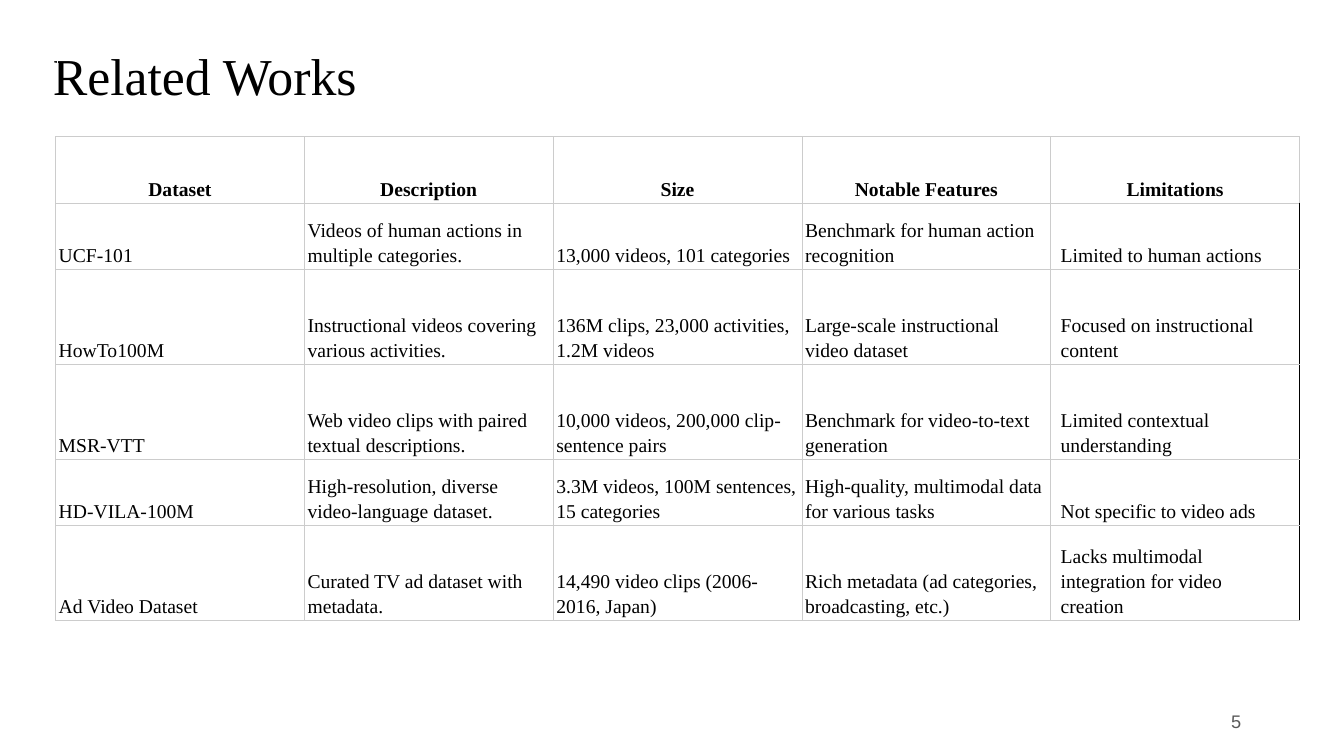
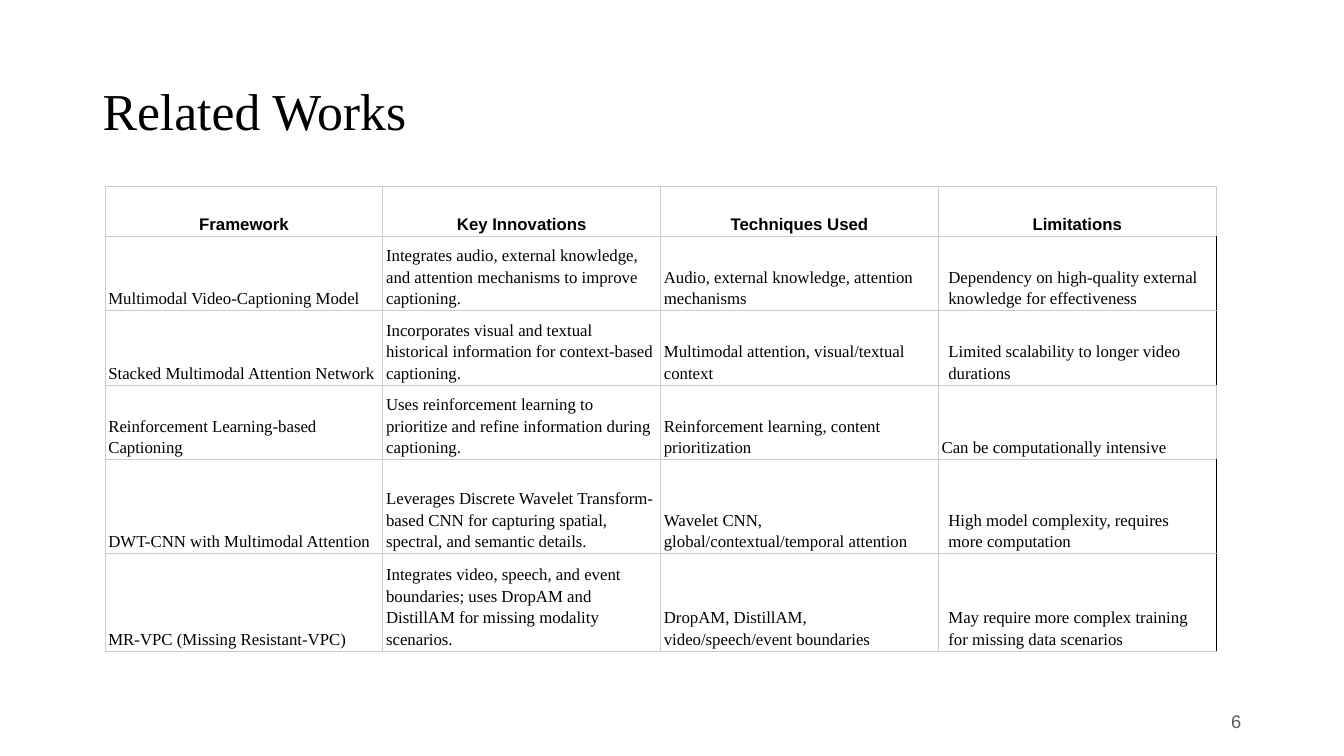
"""Build two related-work slides, each with a title, a comparison table and a page number."""
from dataclasses import dataclass

from lxml.etree import SubElement
from pptx import Presentation
from pptx.dml.color import RGBColor
from pptx.enum.text import MSO_ANCHOR, MSO_AUTO_SIZE, PP_ALIGN
from pptx.oxml.ns import qn
from pptx.util import Cm, Pt


@dataclass(frozen=True)
class Theme:
    ink: str = "000000"
    grid: str = "CCCCCC"
    muted: str = "595959"
    serif: str = "Times New Roman"
    sans: str = "Arial"
    title_size: int = 37
    number_size: int = 13
    grid_width: float = 0.75


THEME = Theme()
TITLE_SIZE = (29.21, 3.68)
NUMBER_BOX = (23.91, 17.67, 7.62, 1.02)
CORNER_CELL = (0.84, 0.84, 0.05, 0.05)
TIGHT, WIDE, VERTICAL = 0.08, 0.25, 0.06

DATASETS = [
    ["Dataset", "Description", "Size", "Notable Features", "Limitations"],
    ["UCF-101", "Videos of human actions in multiple categories.",
     "13,000 videos, 101 categories", "Benchmark for human action recognition",
     "Limited to human actions"],
    ["HowTo100M", "Instructional videos covering various activities.",
     "136M clips, 23,000 activities, 1.2M videos", "Large-scale instructional video dataset",
     "Focused on instructional content"],
    ["MSR-VTT", "Web video clips with paired textual descriptions.",
     "10,000 videos, 200,000 clip-sentence pairs", "Benchmark for video-to-text generation",
     "Limited contextual understanding"],
    ["HD-VILA-100M", "High-resolution, diverse video-language dataset.",
     "3.3M videos, 100M sentences, 15 categories",
     "High-quality, multimodal data for various tasks", "Not specific to video ads"],
    ["Ad Video Dataset", "Curated TV ad dataset with metadata.",
     "14,490 video clips (2006-2016, Japan)",
     "Rich metadata (ad categories, broadcasting, etc.)",
     "Lacks multimodal integration for video creation"],
]
FRAMEWORKS = [
    ["Framework", "Key Innovations", "Techniques Used", "Limitations"],
    ["Multimodal Video-Captioning Model",
     "Integrates audio, external knowledge, and attention mechanisms to improve captioning.",
     "Audio, external knowledge, attention mechanisms",
     "Dependency on high-quality external knowledge for effectiveness"],
    ["Stacked Multimodal Attention Network",
     "Incorporates visual and textual historical information for context-based captioning.",
     "Multimodal attention, visual/textual context",
     "Limited scalability to longer video durations"],
    ["Reinforcement Learning-based Captioning",
     "Uses reinforcement learning to prioritize and refine information during captioning.",
     "Reinforcement learning, content prioritization", "Can be computationally intensive"],
    ["DWT-CNN with Multimodal Attention",
     "Leverages Discrete Wavelet Transform-based CNN for capturing spatial, spectral, "
     "and semantic details.",
     "Wavelet CNN, global/contextual/temporal attention",
     "High model complexity, requires more computation"],
    ["MR-VPC (Missing Resistant-VPC)",
     "Integrates video, speech, and event boundaries; uses DropAM and DistillAM "
     "for missing modality scenarios.",
     "DropAM, DistillAM, video/speech/event boundaries",
     "May require more complex training for missing data scenarios"],
]


def apply(target, formats):
    for attribute, value in formats.items():
        setattr(target, attribute, value)


def write(frame, text, size, font, color=THEME.ink, bold=False,
          align=PP_ALIGN.LEFT, spacing=1.0):
    frame.text = text
    paragraph = frame.paragraphs[0]
    apply(paragraph, {"alignment": align, "line_spacing": spacing})
    run_font = paragraph.runs[0].font
    apply(run_font, {"size": Pt(size), "name": font, "bold": bold})
    run_font.color.rgb = RGBColor.from_string(color)
    SubElement(paragraph._p, qn("a:endParaRPr"), sz=str(size * 100))


def add_title(slide, text, left, top):
    title = slide.shapes.title
    width, height = TITLE_SIZE
    apply(title, {"left": Cm(left), "top": Cm(top), "width": Cm(width), "height": Cm(height)})
    apply(title.text_frame, {"auto_size": MSO_AUTO_SIZE.NONE, "word_wrap": True,
                             "vertical_anchor": MSO_ANCHOR.MIDDLE})
    write(title.text_frame, text, THEME.title_size, THEME.serif, spacing=0.9)


def add_page_number(slide, number):
    frame = slide.shapes.add_textbox(*map(Cm, NUMBER_BOX)).text_frame
    apply(frame, {"word_wrap": True, "vertical_anchor": MSO_ANCHOR.MIDDLE})
    write(frame, str(number), THEME.number_size, THEME.sans, THEME.muted, align=PP_ALIGN.RIGHT)


def add_plain_table(slide, rows, columns, left, top, width, height):
    table = slide.shapes.add_table(rows, columns, Cm(left), Cm(top), Cm(width), Cm(height)).table
    apply(table, {"first_row": False, "horz_banding": False})
    return table


def add_corner_cell(slide):
    add_plain_table(slide, 1, 1, *CORNER_CELL).cell(0, 0).fill.background()


def set_borders(cell, right_color):
    properties = cell._tc.get_or_add_tcPr()
    colors = {"a:lnL": THEME.grid, "a:lnR": right_color, "a:lnT": THEME.grid, "a:lnB": THEME.grid}
    for side, color in colors.items():
        line = SubElement(properties, qn(side), w=str(Pt(THEME.grid_width)))
        SubElement(SubElement(line, qn("a:solidFill")), qn("a:srgbClr"), val=color)


def format_cell(cell, indented):
    inset = Cm(WIDE if indented else TIGHT)
    apply(cell, {"margin_left": inset, "margin_right": inset, "margin_top": Cm(VERTICAL),
                 "margin_bottom": Cm(VERTICAL), "vertical_anchor": MSO_ANCHOR.BOTTOM})
    set_borders(cell, THEME.ink if indented else THEME.grid)
    cell.fill.background()


def add_comparison(slide, rows, left, top, column_width, row_heights, size, header_font,
                   unindented=()):
    columns = len(rows[0])
    table = add_plain_table(slide, len(rows), columns, left, top,
                            column_width * columns, sum(row_heights))
    for column in table.columns:
        column.width = Cm(column_width)
    for r, (texts, height) in enumerate(zip(rows, row_heights)):
        table.rows[r].height = Cm(height)
        header = r == 0
        for c, text in enumerate(texts):
            cell = table.cell(r, c)
            format_cell(cell, c == columns - 1 and not header and r not in unindented)
            write(cell.text_frame, text, size, header_font if header else THEME.serif,
                  bold=header, align=PP_ALIGN.CENTER if header else PP_ALIGN.LEFT, spacing=1.15)


def add_related_works(deck, number, title_at):
    slide = deck.slides.add_slide(deck.slide_layouts.get_by_name("Title Only"))
    add_title(slide, "Related Works", *title_at)
    add_page_number(slide, number)
    return slide


def main():
    deck = Presentation()
    apply(deck, {"slide_width": Cm(33.87), "slide_height": Cm(19.05)})

    datasets = add_related_works(deck, 5, (1.08, 0.15))
    add_corner_cell(datasets)
    add_comparison(datasets, DATASETS, left=1.4, top=3.45, column_width=6.27,
                   row_heights=[1.67, 1.67, 2.39, 2.39, 1.67, 2.39],
                   size=14, header_font=THEME.serif)

    frameworks = add_related_works(deck, 6, (2.33, 1.02))
    add_comparison(frameworks, FRAMEWORKS, left=2.65, top=4.7, column_width=7,
                   row_heights=[1.26, 1.79, 1.79, 1.79, 2.37, 2.37],
                   size=12, header_font=THEME.sans, unindented=(3,))
    deck.save("out.pptx")


if __name__ == "__main__":
    main()
